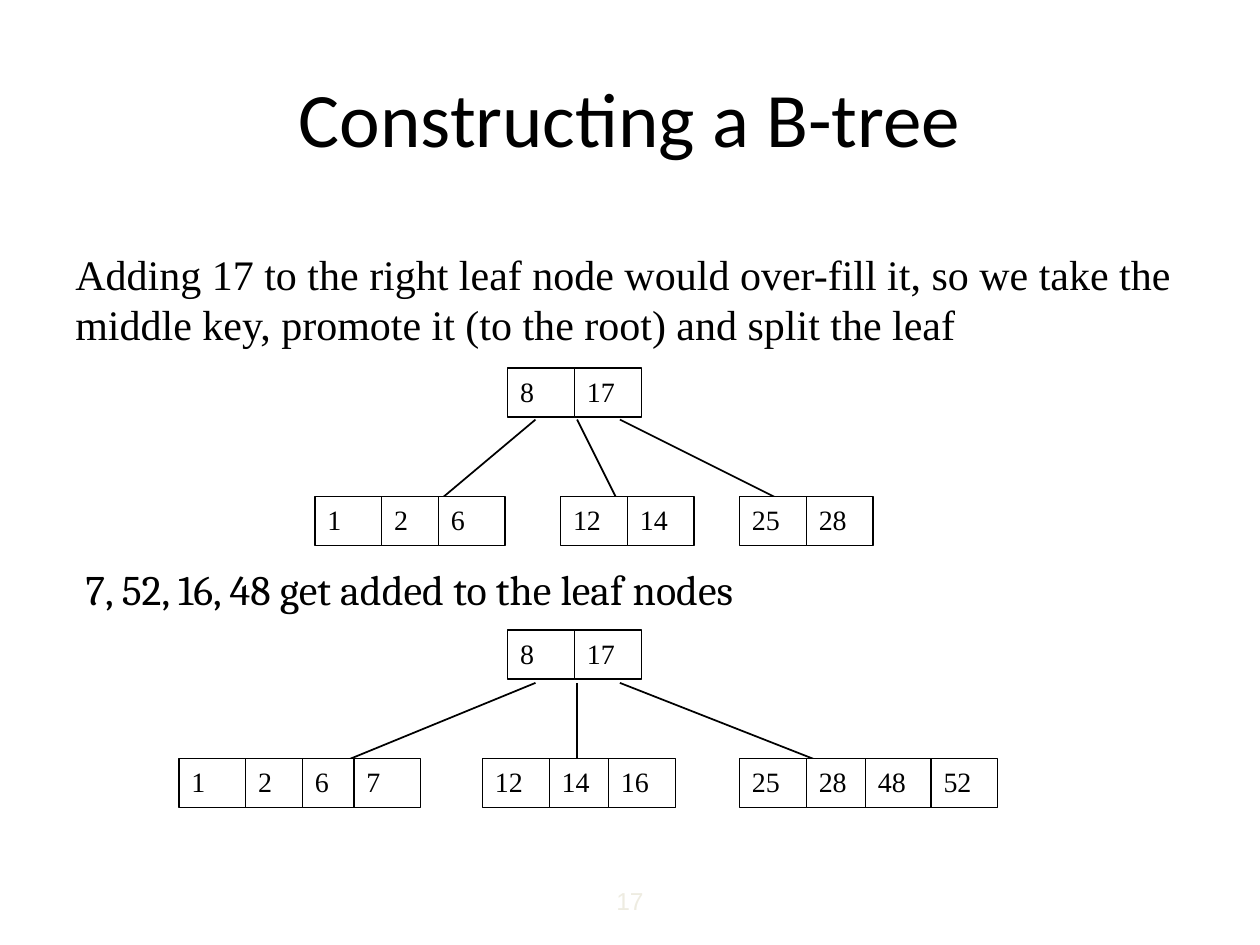
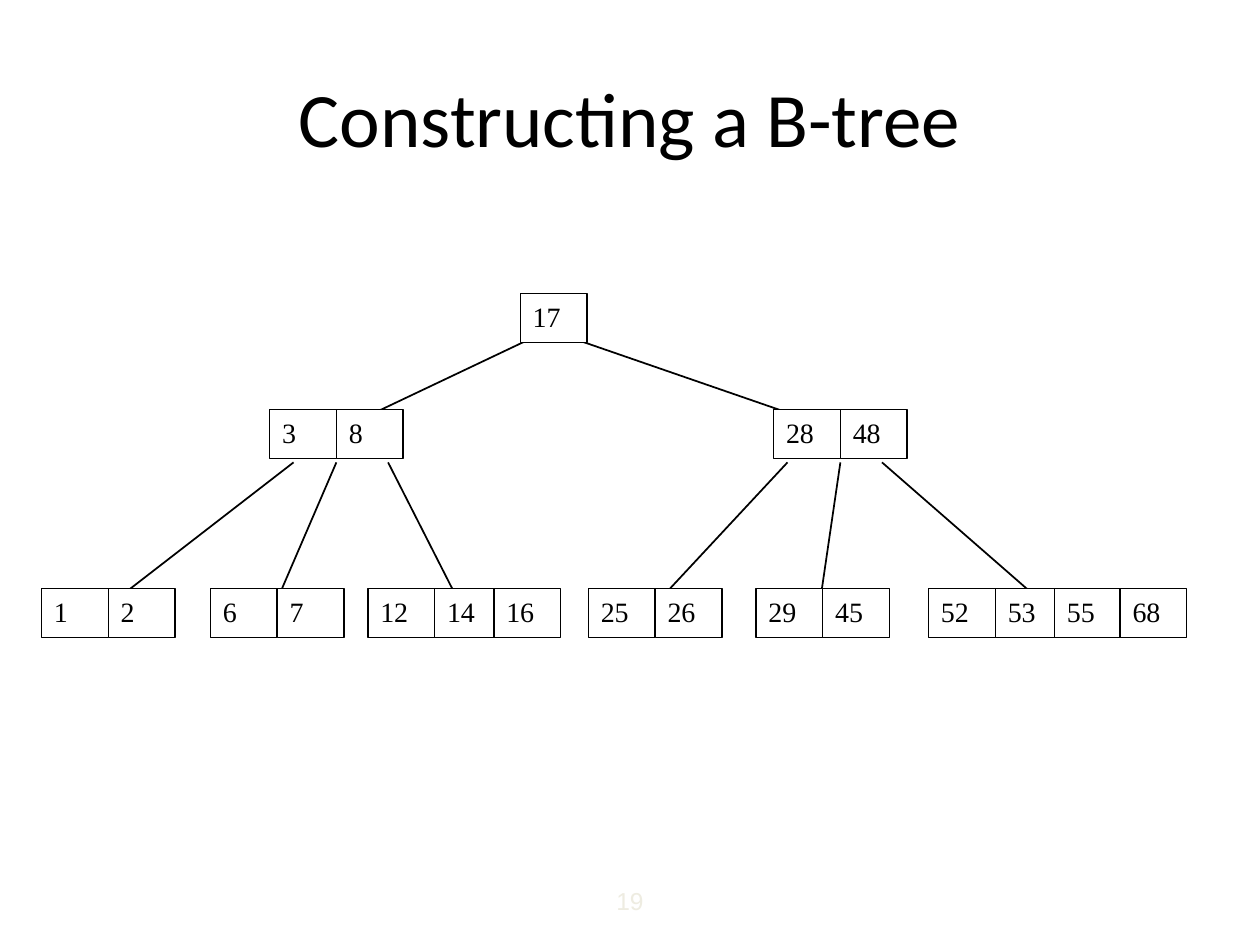
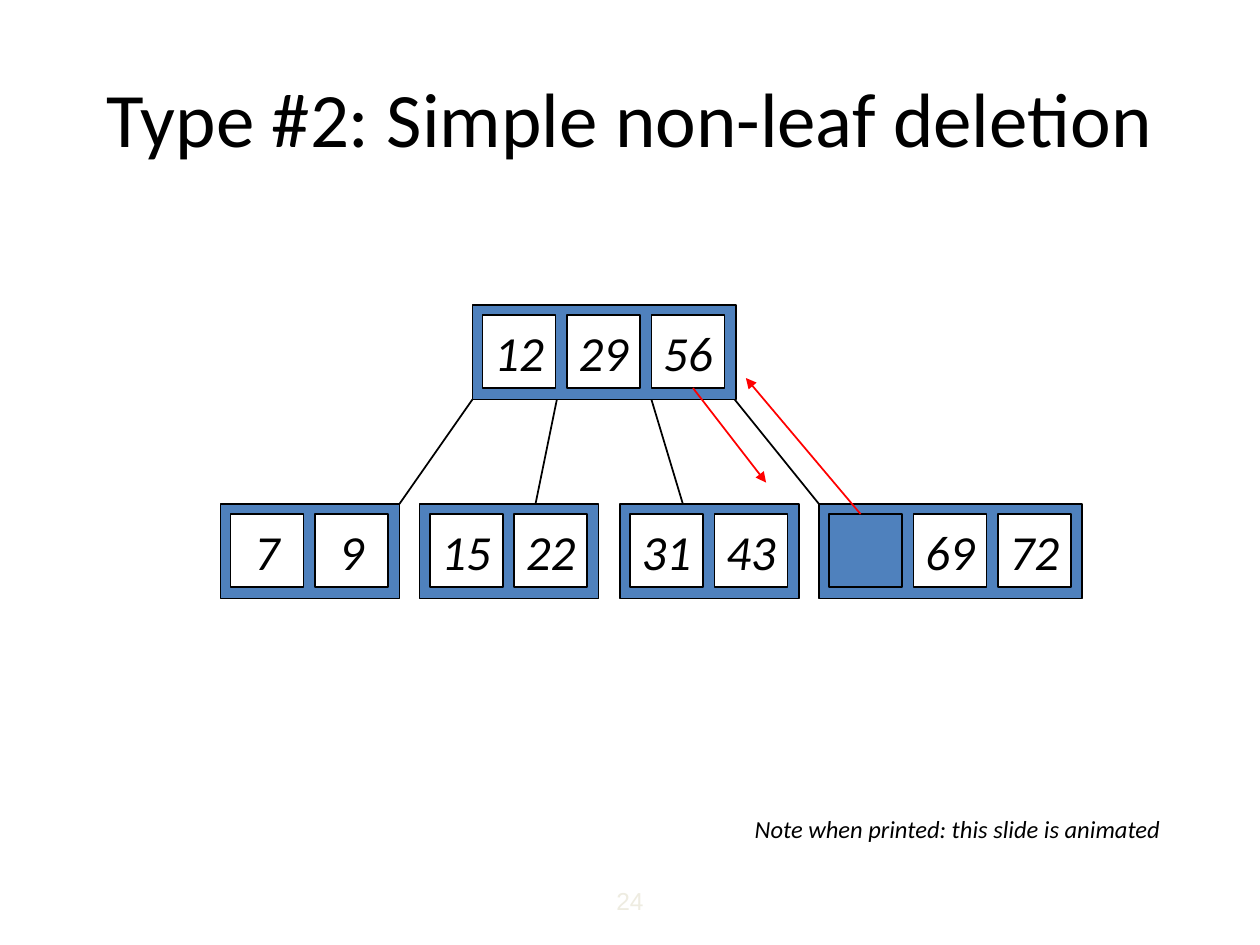
import lxml.etree
import pptx
import pptx.util
import pptx.dml.color
import pptx.enum.shapes
import pptx.enum.text
import pptx.oxml.ns

Inches = pptx.util.Inches
ALIGN = pptx.enum.text.PP_ALIGN
ANCHOR = pptx.enum.text.MSO_ANCHOR

COLORS = {"ink": "000000", "paper": "FFFFFF", "frame": "4F81BD",
          "move": "FF0000", "number": "EEECE1"}
TITLE_FONT = "Calibri"
KEY_FONT = "Times New Roman"

# Left edges of the keys inside a plain node
KEY_OFFSETS = (0, 0.53, 1, 1.52)
NARROW_OFFSETS = (0, 0.53, 0.98, 1.39)
KEY_WIDTH, KEY_HEIGHT = 0.53, 0.39

# Framed nodes: square keys with an even margin
SQUARE, MARGIN = 0.58, 0.08
SQUARE_STEP = 0.67
FRAME_HEIGHT = 0.75


def rgb(name):
    return pptx.dml.color.RGBColor.from_string(COLORS[name])


def write_text(box, text, font=TITLE_FONT, size=16, color="ink", italic=False,
               align=ALIGN.LEFT, anchor=ANCHOR.TOP, wrap=True):
    frame = box.text_frame
    frame.word_wrap = wrap
    frame.vertical_anchor = anchor
    para = frame.paragraphs[0]
    para.alignment = align
    span = para.add_run()
    span.text = text
    span.font.name = font
    span.font.size = pptx.util.Pt(size)
    span.font.italic = italic
    span.font.color.rgb = rgb(color)


def add_text(page, left, top, width, height, text, **style):
    box = page.shapes.add_textbox(Inches(left), Inches(top), Inches(width), Inches(height))
    write_text(box, text, **style)


def add_rectangle(page, left, top, width, height, fill="paper", weight=1):
    shape = page.shapes.add_shape(pptx.enum.shapes.MSO_SHAPE.RECTANGLE, Inches(left),
                                  Inches(top), Inches(width), Inches(height))
    shape.shadow.inherit = False
    shape.fill.solid()
    shape.fill.fore_color.rgb = rgb(fill)
    shape.line.color.rgb = rgb("ink")
    shape.line.width = pptx.util.Pt(weight)
    return shape


def add_line(page, left, top, start, end, color="ink", arrow=False):
    """Draw a line whose ends are relative to the corner (left, top)."""
    line = page.shapes.add_connector(
        pptx.enum.shapes.MSO_CONNECTOR.STRAIGHT,
        Inches(left + start[0]), Inches(top + start[1]),
        Inches(left + end[0]), Inches(top + end[1]))
    line.line.color.rgb = rgb(color)
    line.line.width = pptx.util.Pt(1)
    qn = pptx.oxml.ns.qn
    properties = line.element.find(qn("p:spPr"))
    if arrow:
        lxml.etree.SubElement(properties.find(qn("a:ln")), qn("a:tailEnd"), type="triangle")
    lxml.etree.SubElement(properties, qn("a:effectLst"))


def add_page(deck, title, number):
    page = deck.slides.add_slide(deck.slide_layouts[5])
    box = page.shapes.title
    box.left, box.top, box.width, box.height = map(Inches, (0.5, 0.3, 9, 1.25))
    write_text(box, title, size=44, align=ALIGN.CENTER, anchor=ANCHOR.MIDDLE)
    add_text(page, 4, 6.95, 2, 0.4, number, font="Arial", size=14, color="number",
             align=ALIGN.CENTER, anchor=ANCHOR.MIDDLE)
    return page


def plain_node(page, left, top, keys, offsets=KEY_OFFSETS):
    for key, offset in zip(keys.split(), offsets):
        cell = add_rectangle(page, left + offset, top, KEY_WIDTH, KEY_HEIGHT, weight=0.75)
        write_text(cell, key, font=KEY_FONT)


def framed_node(page, left, top, keys):
    """Draw a framed node; a key written as _ is an emptied cell."""
    keys = keys.split()
    add_rectangle(page, left, top, len(keys) * SQUARE_STEP + MARGIN, FRAME_HEIGHT, "frame")
    for index, key in enumerate(keys):
        empty = key == "_"
        cell = add_rectangle(page, left + MARGIN + index * SQUARE_STEP, top + MARGIN,
                             SQUARE, SQUARE, "frame" if empty else "paper")
        if not empty:
            write_text(cell, key, size=28, italic=True, align=ALIGN.CENTER,
                       anchor=ANCHOR.MIDDLE, wrap=False)


def add_tree(page, left, top, rows, branches, draw_node=plain_node):
    """Rows are (y, nodes); branches are (start y, end y, pairs of x)."""
    for start_y, end_y, pairs in branches:
        for start_x, end_x in pairs:
            add_line(page, left, top, (start_x, start_y), (end_x, end_y))
    for y, nodes in rows:
        for x, *node in nodes:
            draw_node(page, left + x, top + y, *node)


def split_page(deck):
    page = add_page(deck, "Constructing a B-tree", "17")
    # Leaf split
    add_text(page, 0.5, 1.92, 9.17, 0.9,
             "Adding 17 to the right leaf node would over-fill it, so we take the "
             "middle key, promote it (to the root) and split the leaf",
             font=KEY_FONT, size=24)
    add_tree(page, 2.5, 2.92,
             [(0, [(1.53, "8 17")]),
              (1.02, [(0, "1 2 6", NARROW_OFFSETS), (1.95, "12 14"), (3.37, "25 28")])],
             [(0.41, 1.25, [(1.75, 0.75), (2.08, 2.5)]),
              (0.41, 1.16, [(2.42, 3.92)])])
    # Keys added to the leaves
    add_text(page, 0.58, 4.42, 9, 0.5, "7, 52, 16, 48 get added to the leaf nodes",
             font="Cambria", size=24)
    add_tree(page, 1.42, 5,
             [(0, [(2.61, "8 17")]),
              (1.02, [(0, "1 2 6 7", NARROW_OFFSETS), (2.41, "12 14 16"),
                      (4.45, "25 28 48 52")])],
             [(0.42, 1.17, [(2.83, 1), (3.5, 5.41)]),
              (0.42, 1.25, [(3.16, 3.16)])])


def full_tree_page(deck):
    page = add_page(deck, "Constructing a B-tree", "19")
    add_tree(page, 0.33, 2.33,
             [(0, [(3.8, "17")]),
              (0.92, [(1.81, "3 8"), (5.81, "28 48")]),
              (2.34, [(0, "1 2"), (1.34, "6 7"), (2.59, "12 14 16"),
                      (4.34, "25 26"), (5.67, "29 45"), (7.04, "52 53 55 68")])],
             [(0.34, 1.09, [(3.92, 2.34), (4.17, 6.34)]),
              (1.34, 2.5, [(2, 0.5), (2.34, 1.84), (2.75, 3.34),
                           (5.92, 4.84), (6.34, 6.17), (6.67, 8)])])


def deletion_page(deck):
    page = add_page(deck, "Type #2: Simple non-leaf deletion", "24")
    left, top = 1.75, 2.42
    add_tree(page, left, top,
             [(0, [(2, "12 29 56")]),
              (1.58, [(0, "7 9"), (1.58, "15 22"), (3.17, "31 43"), (4.75, "_ 69 72")])],
             [(0.75, 1.58, [(2, 1.42), (2.67, 2.5), (3.42, 3.67), (4.08, 4.75)])],
             framed_node)
    # Key leaving the root and its successor moving up
    for start, end in (((3.75, 0.66), (4.33, 1.41)), ((5.08, 1.66), (4.17, 0.58))):
        add_line(page, left, top, start, end, color="move", arrow=True)
    add_text(page, 5.76, 6.41, 3.68, 0.33, "Note when printed: this slide is animated",
             size=14, italic=True, align=ALIGN.CENTER, anchor=ANCHOR.MIDDLE, wrap=False)


def main():
    deck = pptx.Presentation()
    deck.slide_width, deck.slide_height = Inches(10), Inches(7.5)
    split_page(deck)
    full_tree_page(deck)
    deletion_page(deck)
    deck.save("out.pptx")


if __name__ == "__main__":
    main()
